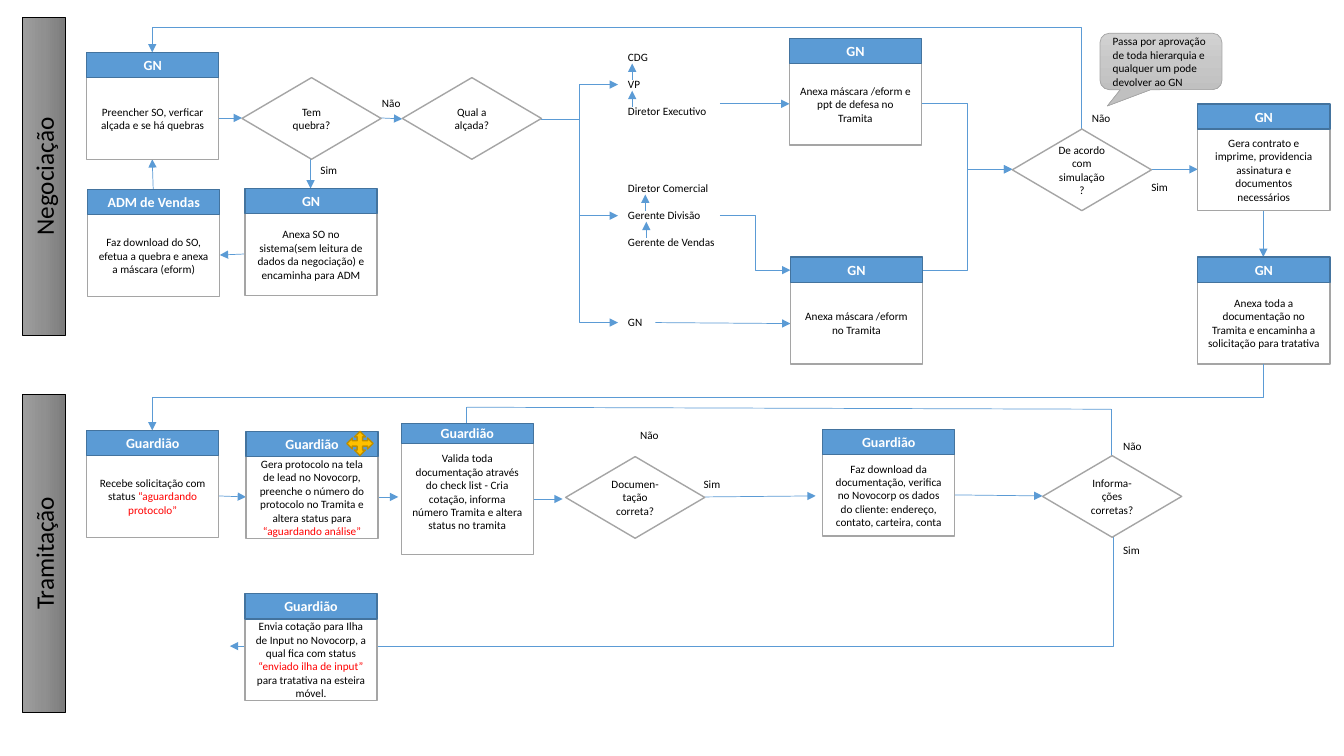
from copy import deepcopy
from dataclasses import dataclass
from itertools import pairwise

from lxml.etree import SubElement
from pptx import Presentation
from pptx.dml.color import RGBColor as Rgb
from pptx.enum.shapes import MSO_CONNECTOR as Link, MSO_SHAPE as Preset
from pptx.enum.text import MSO_ANCHOR as Anchor, PP_ALIGN as Align
from pptx.oxml.ns import qn
from pptx.util import Cm, Pt


@dataclass(frozen=True)
class Theme:
    """Colours, type sizes and line widths of the flowchart."""
    font: str = "Calibri"
    ink: str = "000000"
    white: str = "FFFFFF"
    alert: str = "FF0000"
    blue: str = "5B9BD5"
    blue_edge: str = "43739E"
    grey_edge: str = "A5A5A5"
    gold: str = "FFC000"
    gold_edge: str = "BD8E00"
    lane_grey: tuple = ("9D9D9D", "909090", "7C7C7C")
    note_grey: tuple = ("D2D2D2", "C8C8C8", "C0C0C0")
    lane_size: float = 18
    head_size: float = 10
    body_size: float = 8
    line_gap: float = 9.8
    thin: float = 0.5
    edge: float = 1


@dataclass(frozen=True)
class Box:
    """Area of the page, in inches; parts are placed from its corner."""
    left: float
    top: float


THEME = Theme()
STAGE_WIDTH, STAGE_HEIGHT, HEAD_HEIGHT = 1.31, 1.06, 0.25
DIAMOND_WIDTH, DIAMOND_HEIGHT = 1.38, 0.81


def inch(value):
    """Turn inches into a centimetre length."""
    return Cm(value * 2.54)


def place(box, x, y, width, height):
    """Give left, top, width and height of a part of the box."""
    return inch(box.left + x), inch(box.top + y), inch(width), inch(height)


def write(para, text, size=THEME.body_size, color=THEME.ink, bold=False):
    """Add one run to a paragraph."""
    span = para.add_run()
    span.text = text
    span.font.name, span.font.size, span.font.bold = THEME.font, Pt(size), bold
    span.font.color.rgb = Rgb.from_string(color)


def add_shape(page, box, preset, area, fill, edge, width=THEME.edge):
    """Add a preset shape with a plain or a three-stop fill."""
    shape = page.shapes.add_shape(preset, *place(box, *area))
    shape.shadow.inherit = False
    if isinstance(fill, tuple):
        shape.fill.gradient()
        shape.fill.gradient_angle = 270
        stops = shape._element.spPr.find(".//" + qn("a:gsLst"))
        stops.insert(1, deepcopy(stops[0]))
        for index, (stop, tone) in enumerate(zip(shape.fill.gradient_stops, fill)):
            stop.position = index / 2
            stop.color.rgb = Rgb.from_string(tone)
    else:
        shape.fill.solid()
        shape.fill.fore_color.rgb = Rgb.from_string(fill)
    shape.line.color.rgb = Rgb.from_string(edge)
    shape.line.width = Pt(width)
    frame = shape.text_frame
    frame.word_wrap, frame.vertical_anchor = True, Anchor.MIDDLE
    frame.paragraphs[0].alignment = Align.CENTER
    return shape


def add_lane_bar(page, box, title):
    """Add the upright grey bar that names a lane."""
    bar = add_shape(page, box, Preset.RECTANGLE, (-1.14, 1.54, 3.15, 0.42),
                    THEME.lane_grey, THEME.ink, THEME.thin)
    bar.rotation = 270
    write(bar.text_frame.paragraphs[0], title, THEME.lane_size)


def add_stage(page, box, x, y, owner, *spans, height=STAGE_HEIGHT, head=HEAD_HEIGHT, lift=0):
    """Add a task box under its owner's header; (text, colour) spans are tinted."""
    body = add_shape(page, box, Preset.RECTANGLE, (x, y + head, STAGE_WIDTH, height - head),
                     THEME.white, THEME.grey_edge)
    body.text_frame.margin_bottom = inch(0.05 + lift)
    for span in spans:
        text, color = span if isinstance(span, tuple) else (span, THEME.ink)
        write(body.text_frame.paragraphs[0], text, color=color)
    header = add_shape(page, box, Preset.RECTANGLE, (x, y, STAGE_WIDTH, head),
                       THEME.blue, THEME.blue_edge)
    write(header.text_frame.paragraphs[0], owner, THEME.head_size, THEME.white, True)


def add_decision(page, box, x, y, question):
    """Add a decision diamond."""
    diamond = add_shape(page, box, Preset.FLOWCHART_DECISION,
                        (x, y, DIAMOND_WIDTH, DIAMOND_HEIGHT), THEME.white, THEME.grey_edge)
    write(diamond.text_frame.paragraphs[0], question)


def add_label(page, box, x, y, *lines, width=0.41):
    """Add free text, its lines one blank line apart."""
    height = 0.24 + 0.27 * (len(lines) - 1)
    frame = page.shapes.add_textbox(*place(box, x, y, width, height)).text_frame
    frame.word_wrap = True
    for index, line in enumerate(lines):
        para = frame.add_paragraph() if index else frame.paragraphs[0]
        para.space_before = Pt(THEME.line_gap if index else 0)
        write(para, line)


def add_link(page, box, x1, y1, x2, y2, kind=Link.STRAIGHT, arrow=True):
    """Join two points by a thin blue line."""
    start, end = place(box, x1, y1, 0, 0)[:2], place(box, x2, y2, 0, 0)[:2]
    link = page.shapes.add_connector(kind, *start, *end)
    link.line.color.rgb = Rgb.from_string(THEME.blue)
    link.line.width = Pt(THEME.thin)
    if arrow:
        SubElement(link.line._get_or_add_ln(), qn("a:tailEnd"), type="triangle")
    SubElement(link._element.spPr, qn("a:effectLst"))
    return link


def add_upright_link(page, box, x1, y1, x2, y2, preset="bentConnector3", bend=None):
    """Join two points by an elbow that leaves the first one vertically, then goes left."""
    rising = y2 < y1
    middle_x, middle_y = (x1 + x2) / 2, (y1 + y2) / 2
    half_x, half_y = abs(y2 - y1) / 2, abs(x2 - x1) / 2
    drop = -half_y if rising else half_y
    link = add_link(page, box, middle_x - half_x, middle_y - drop,
                    middle_x + half_x, middle_y + drop, Link.ELBOW)
    properties = link._element.spPr
    properties.find(qn("a:xfrm")).set("rot", str((270 if rising else 90) * 60000))
    geometry = properties.find(qn("a:prstGeom"))
    geometry.set("prst", preset)
    if bend:
        SubElement(geometry.find(qn("a:avLst")), qn("a:gd"),
                   name="adj1", fmla=f"val {round(bend * 100000)}")


def add_negotiation(page, box):
    """Draw the negotiation lane."""
    add_lane_bar(page, box, "Negociação")
    for points in [(2.16, 1.17, 2.4, 1.17), (3.77, 1.17, 3.99, 1.18), (3.08, 1.58, 3.08, 1.87),
                   (2.43, 2.52, 2.18, 2.53), (1.52, 1.88, 1.51, 1.58), (6.5, 3.2, 7.84, 3.21),
                   (7.14, 1.03, 7.83, 1.03), (11.41, 1.68, 11.88, 1.68),
                   (12.53, 2.09, 12.53, 2.55)]:
        add_link(page, box, *points)
    for x, y in [(6.27, 0.79), (6.27, 1.06), (6.4, 2.09), (6.41, 2.36)]:
        add_link(page, box, x, y, x, y - 0.16)
    for y in (0.84, 2.14, 3.2):
        add_link(page, box, 5.37, 1.18, 6.13, y, Link.ELBOW)
    for y in (1.03, 2.68):
        add_link(page, box, 9.14, y, 10.04, 1.68, Link.ELBOW)
    add_link(page, box, 7.14, 2.14, 7.84, 2.68, Link.ELBOW)
    add_upright_link(page, box, 10.73, 1.28, 1.51, 0.52, bend=1.33)
    for stage in [
        (0.86, 0.52, "GN", "Preencher SO, verficar alçada e se há quebras"),
        (0.87, 1.88, "ADM de Vendas", "Faz download do SO, efetua a quebra e anexa a máscara (eform)"),
        (2.43, 1.87, "GN", "Anexa SO no sistema(sem leitura de dados da negociação) "
                           "e encaminha para ADM"),
        (7.83, 0.38, "GN", "Anexa máscara /eform e ppt de defesa no Tramita"),
        (7.84, 2.55, "GN", "Anexa máscara /eform no Tramita"),
        (11.88, 1.03, "GN", "Gera contrato e imprime, providencia assinatura e "
                            "documentos necessários"),
        (11.88, 2.55, "GN", "Anexa toda a documentação no Tramita e encaminha a "
                            "solicitação para tratativa"),
    ]:
        add_stage(page, box, *stage)
    for decision in [(2.4, 0.77, "Tem quebra?"), (3.99, 0.77, "Qual a alçada?"),
                     (10.04, 1.28, "De acordo com simulação?")]:
        add_decision(page, box, *decision)
    for label in [(3.08, 1.57, "Sim"), (3.69, 0.91, "Não"),
                  (10.73, 1.06, "Não"), (11.32, 1.74, "Sim")]:
        add_label(page, box, *label)
    for approvers in [(6.13, 0.45, "CDG", "VP", "Diretor Executivo"),
                      (6.13, 1.75, "Diretor Comercial", "Gerente Divisão", "Gerente de Vendas"),
                      (6.13, 3.08, "GN")]:
        add_label(page, box, *approvers, width=1.18)
    note = add_shape(page, box, Preset.ROUNDED_RECTANGULAR_CALLOUT, (10.91, 0.33, 1.21, 0.56),
                     THEME.note_grey, THEME.grey_edge, THEME.thin)
    note.adjustments[0], note.adjustments[1] = -0.44, 0.79
    para = note.text_frame.paragraphs[0]
    para.alignment = Align.LEFT
    write(para, "Passa por aprovação de toda hierarquia e qualquer um pode devolver ao GN")


def add_processing(page, box):
    """Draw the processing lane and the line that enters it from above."""
    add_lane_bar(page, box, "Tramitação")
    add_upright_link(page, box, 12.53, -0.13, 1.51, 0.53)
    add_upright_link(page, box, 11.04, 1.58, 2.28, 2.67, "bentConnector2")
    for points in [(2.16, 1.18, 2.44, 1.19), (3.75, 1.19, 3.95, 1.19), (5.29, 1.21, 5.58, 1.21),
                   (6.99, 1.19, 8.09, 1.18), (9.47, 1.17, 10.34, 1.18)]:
        add_link(page, box, *points)
    for start, end in pairwise([(11.02, 0.78), (11.02, 0.32), (4.63, 0.3), (4.63, 0.46)]):
        add_link(page, box, *start, *end, arrow=False)
    for stage in [
        (0.86, 0.53, "Guardião", "Recebe solicitação com status",
         (" “aguardando protocolo”", THEME.alert)),
        (2.44, 0.54, "Guardião", "Gera protocolo na tela de lead no Novocorp, preenche o número "
         "do protocolo no Tramita e altera status para ", ("“aguardando análise”", THEME.alert)),
        (8.16, 0.52, "Guardião", "Faz download da documentação, verifica no Novocorp os dados "
         "do cliente: endereço, contato, carteira, conta"),
        (2.43, 2.15, "Guardião", "Envia cotação para Ilha de Input no Novocorp, a qual fica com "
         "status ", ("“enviado ilha de input” ", THEME.alert), "para tratativa na esteira móvel."),
    ]:
        add_stage(page, box, *stage)
    add_stage(page, box, 3.98, 0.46, "Guardião", "Valida toda documentação através do check list "
              "- Cria cotação, informa número Tramita e altera status no tramita",
              height=1.3, head=0.2, lift=0.14)
    add_decision(page, box, 5.61, 0.79, "Documen-tação correta?")
    add_decision(page, box, 10.34, 0.78, "Informa-ções corretas?")
    for label in [(6.88, 0.95, "Sim"), (6.25, 0.46, "Não"),
                  (11.04, 1.6, "Sim"), (11.04, 0.57, "Não")]:
        add_label(page, box, *label)
    add_shape(page, box, Preset.QUAD_ARROW, (3.44, 0.54, 0.26, 0.24), THEME.gold, THEME.gold_edge)


deck = Presentation()
deck.slide_width, deck.slide_height = inch(13.33), inch(7.5)
page = deck.slides.add_slide(deck.slide_layouts[6])
add_negotiation(page, Box(0, 0))
add_processing(page, Box(0, 3.74))
deck.save("out.pptx")
